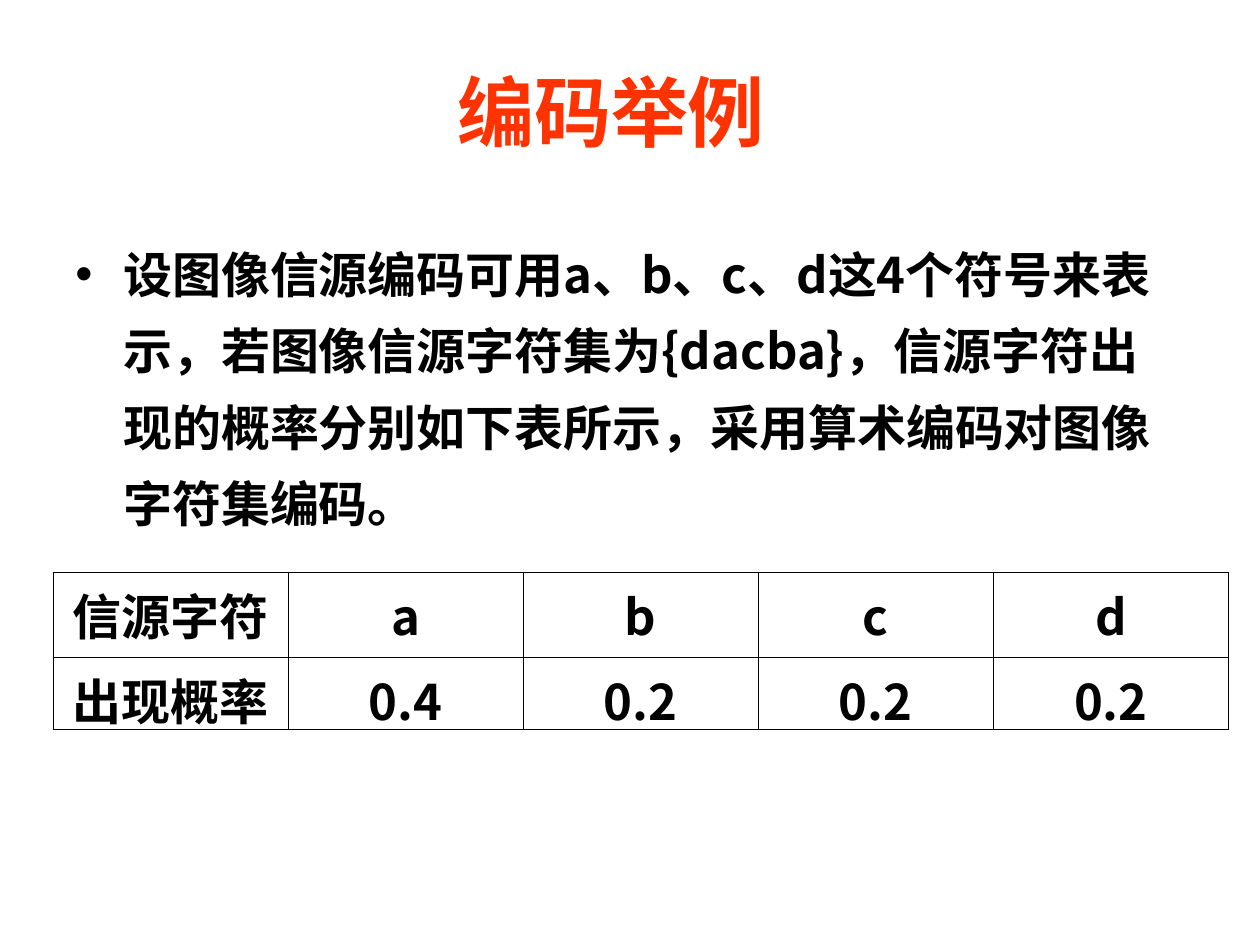
from lxml.etree import SubElement
from pptx import Presentation
from pptx.dml.color import RGBColor
from pptx.enum.text import MSO_ANCHOR as Anchor, PP_ALIGN as Align
from pptx.oxml import parse_xml
from pptx.oxml.ns import nsdecls, qn
from pptx.util import Inches, Pt

CJK_FONT = "Noto Sans CJK SC"
BLACK = "000000"


def style(para, size, color=BLACK, name=CJK_FONT):
    """Set a bold font, with the CJK face for East Asian characters."""
    font = para.font
    font.size, font.bold, font.name = Pt(size), True, name
    font.color.rgb = RGBColor.from_string(color)
    defaults = para._p.pPr.find(qn("a:defRPr"))
    SubElement(defaults, qn("a:ea")).set("typeface", CJK_FONT)


def add_borders(cell):
    properties = cell._tc.get_or_add_tcPr()
    for position, side in enumerate("LRTB"):
        properties.insert(position, parse_xml(
            f'<a:ln{side} {nsdecls("a")} w="{Pt(0.45)}"><a:solidFill>'
            f'<a:srgbClr val="{BLACK}"/></a:solidFill></a:ln{side}>'))


deck = Presentation()
deck.slide_width, deck.slide_height = Inches(10), Inches(7.5)
page = deck.slides.add_slide(deck.slide_layouts[6])

# Title
title = page.shapes.add_textbox(Inches(0.42), Inches(0.25), Inches(9), Inches(1.25))
title.text_frame.word_wrap = True
title.text_frame.vertical_anchor = Anchor.MIDDLE
para = title.text_frame.paragraphs[0]
para.text = "编码举例 "
para.alignment = Align.CENTER
style(para, 44, "FF3300", "Arial")

# Problem statement
body = page.shapes.add_textbox(Inches(0.5), Inches(1.75), Inches(9), Inches(4.95))
body.text_frame.word_wrap = True
para = body.text_frame.paragraphs[0]
para.text = ("设图像信源编码可用a、b、c、d这4个符号来表示，若图像信源字符集为{dacba}，"
             "信源字符出现的概率分别如下表所示，采用算术编码对图像字符集编码。")
para.line_spacing = 1.3
indent = para._p.get_or_add_pPr()
indent.set("marL", str(Inches(0.38)))
indent.set("indent", str(Inches(-0.38)))
SubElement(indent, qn("a:buFont")).set("typeface", "Arial")
SubElement(indent, qn("a:buChar")).set("char", "•")
style(para, 28)

# Symbol probabilities
rows = [
    ["信源字符", "a", "b", "c", "d"],
    ["出现概率", "0.4", "0.2", "0.2", "0.2"],
]
frame = page.shapes.add_table(len(rows), len(rows[0]), Inches(0.42), Inches(4.54),
                              Inches(9.33), Inches(1.25))
table = frame.table
table.first_row = table.horz_banding = False
for row, height in zip(table.rows, (0.68, 0.57)):
    row.height = Inches(height)
for row, values in zip(table.rows, rows):
    for cell, value in zip(row.cells, values):
        cell.text = value
        cell.fill.background()
        add_borders(cell)
        para = cell.text_frame.paragraphs[0]
        para.alignment = Align.CENTER
        style(para, 28)

deck.save("out.pptx")
